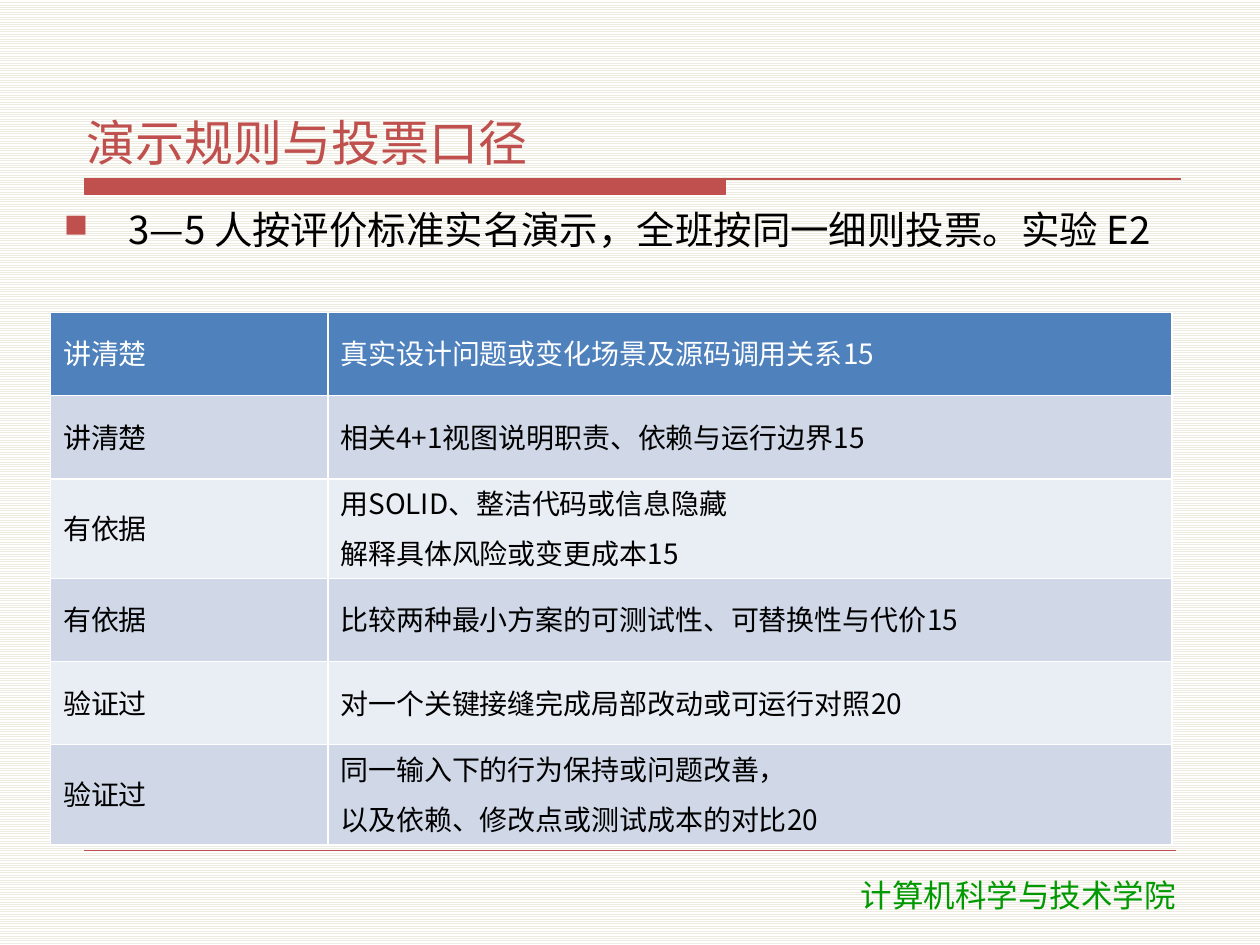
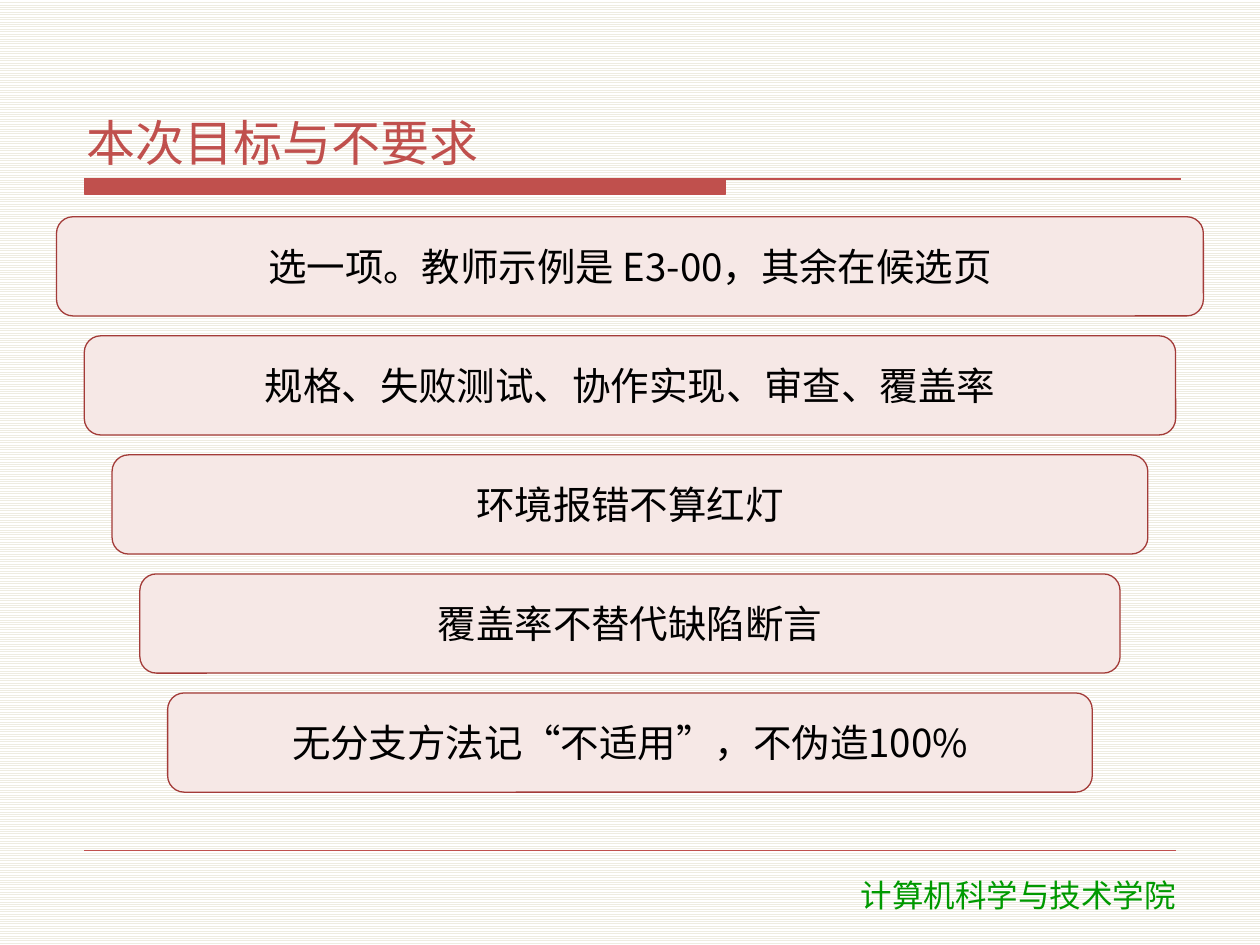
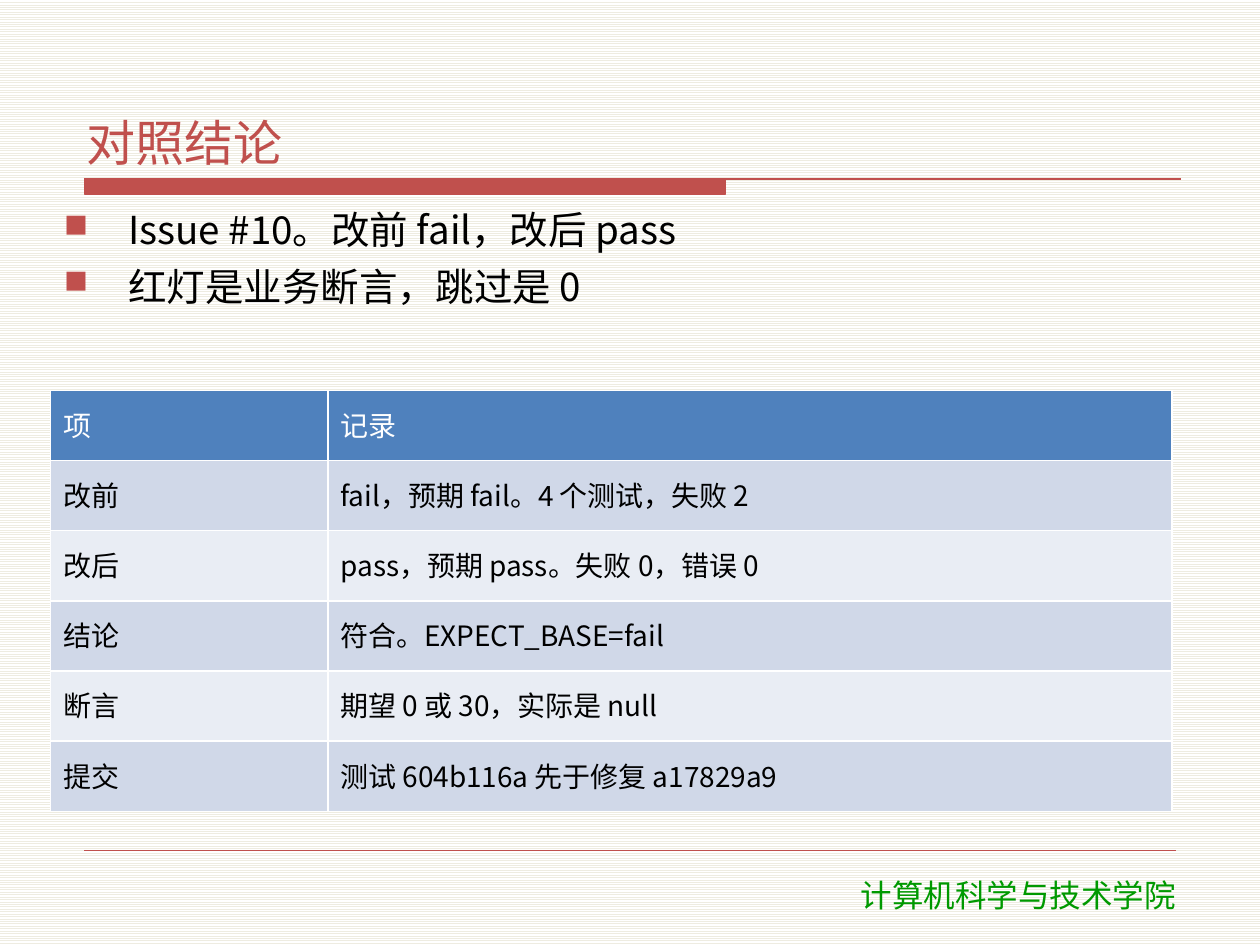
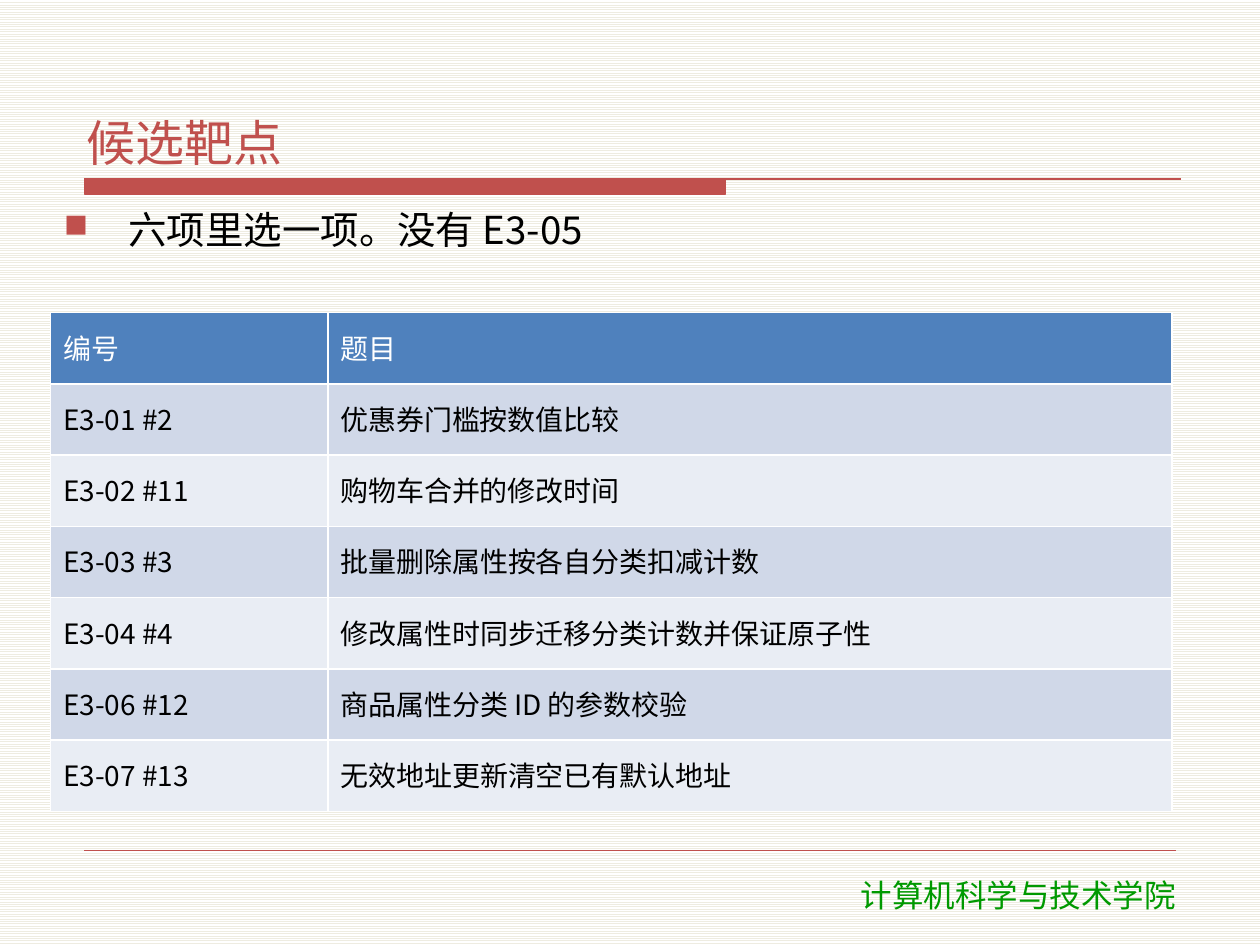
"""Build four course slides on demo rules, goals, findings and targets."""
from dataclasses import dataclass

from lxml.etree import SubElement
from pptx import Presentation
from pptx.dml.color import RGBColor
from pptx.dml.fill import FillFormat
from pptx.enum.dml import MSO_PATTERN
from pptx.enum.shapes import MSO_CONNECTOR, MSO_SHAPE
from pptx.enum.text import MSO_ANCHOR, PP_ALIGN
from pptx.oxml.ns import qn
from pptx.slide import Slide
from pptx.text.text import TextFrame
from pptx.util import Cm, Pt

RED, GREEN, BLACK, WHITE = "C0504D", "009900", "000000", "FFFFFF"
BLUE, DARK, LIGHT = "4F81BD", "D0D8E8", "E9EDF4"
PINK, EDGE, CREAM = "F6E8E6", "A33B38", "EEECE1"
FONT = "Noto Sans CJK SC"
WIDTH, HEIGHT = 25.4, 19.05
EDGES = ("lnL", "lnR", "lnT", "lnB")
TALL = 2.01


@dataclass(frozen=True)
class Look:
    """Hold the type style of a text."""
    size: float
    color: str = BLACK
    font: str = FONT
    align: PP_ALIGN = PP_ALIGN.LEFT
    before: float = 0
    after: float = 2
    line: float = 1.0


@dataclass(frozen=True)
class Box:
    """Hold a place in centimetres."""
    left: float
    top: float
    width: float
    height: float

    def place(self) -> tuple[Cm, Cm, Cm, Cm]:
        """Return the place as lengths."""
        return Cm(self.left), Cm(self.top), Cm(self.width), Cm(self.height)


@dataclass(frozen=True)
class Page:
    """Hold one slide's title, points and table or bars."""
    title: str
    points: tuple[str, ...] = ()
    rows: tuple[tuple[str, str], ...] = ()
    bars: tuple[str, ...] = ()


TITLE = Look(28, RED)
POINT = Look(22, before=4)
BAR = Look(22, align=PP_ALIGN.CENTER)
HEAD = Look(16, WHITE, before=6, line=0.9)
CELL = Look(16, before=6, line=0.9)
FOOT = Look(18, GREEN, "DejaVu Sans", PP_ALIGN.CENTER, after=0)

PAGES = (
    Page(
        "演示规则与投票口径",
        points=("3—5 人按评价标准实名演示，全班按同一细则投票。实验 E2",),
        rows=(
            ("讲清楚", "真实设计问题或变化场景及源码调用关系15"),
            ("讲清楚", "相关4+1视图说明职责、依赖与运行边界15"),
            ("有依据", "用SOLID、整洁代码或信息隐藏\n解释具体风险或变更成本15"),
            ("有依据", "比较两种最小方案的可测试性、可替换性与代价15"),
            ("验证过", "对一个关键接缝完成局部改动或可运行对照20"),
            ("验证过", "同一输入下的行为保持或问题改善，\n以及依赖、修改点或测试成本的对比20"),
        ),
    ),
    Page(
        "本次目标与不要求",
        bars=(
            "选一项。教师示例是 E3-00，其余在候选页",
            "规格、失败测试、协作实现、审查、覆盖率",
            "环境报错不算红灯",
            "覆盖率不替代缺陷断言",
            "无分支方法记“不适用”，不伪造100%",
        ),
    ),
    Page(
        "对照结论",
        points=("Issue #10。改前 fail，改后 pass", "红灯是业务断言，跳过是 0"),
        rows=(
            ("项", "记录"),
            ("改前", "fail，预期 fail。4 个测试，失败 2"),
            ("改后", "pass，预期 pass。失败 0，错误 0"),
            ("结论", "符合。EXPECT_BASE=fail"),
            ("断言", "期望 0 或 30，实际是 null"),
            ("提交", "测试 604b116a 先于修复 a17829a9"),
        ),
    ),
    Page(
        "候选靶点",
        points=("六项里选一项。没有 E3-05",),
        rows=(
            ("编号", "题目"),
            ("E3-01 #2", "优惠券门槛按数值比较"),
            ("E3-02 #11", "购物车合并的修改时间"),
            ("E3-03 #3", "批量删除属性按各自分类扣减计数"),
            ("E3-04 #4", "修改属性时同步迁移分类计数并保证原子性"),
            ("E3-06 #12", "商品属性分类 ID 的参数校验"),
            ("E3-07 #13", "无效地址更新清空已有默认地址"),
        ),
    ),
)


def tint(code: str) -> RGBColor:
    """Turn a hex string into a colour."""
    return RGBColor.from_string(code)


def paint(fill: FillFormat, code: str) -> None:
    """Fill with one solid colour."""
    fill.solid()
    fill.fore_color.rgb = tint(code)


def write(frame: TextFrame, text: str, look: Look) -> None:
    """Set the text and give each run its look."""
    frame.text = text
    frame.word_wrap = True
    for rank, para in enumerate(frame.paragraphs):
        para.alignment = look.align
        para.line_spacing = look.line
        para.space_before = Pt(look.before if rank else 0)
        para.space_after = Pt(look.after)
        for run in para.runs:
            run.font.size = Pt(look.size)
            run.font.bold = False
            run.font.name = look.font
            run.font.color.rgb = tint(look.color)
            SubElement(run.font._element, qn("a:ea"), typeface=look.font)


def inset(frame: TextFrame) -> None:
    """Set the narrow margins."""
    frame.margin_left = frame.margin_right = Cm(0.15)
    frame.margin_top = frame.margin_bottom = Cm(0.05)


def label(slide: Slide, box: Box, text: str, look: Look) -> TextFrame:
    """Add a text box and return its frame."""
    frame = slide.shapes.add_textbox(*box.place()).text_frame
    write(frame, text, look)
    return frame


def dress(slide: Slide, title: str) -> None:
    """Draw the title, band and footer all slides share."""
    left, top, mid, low, right = map(Cm, (1.7, 3.61, 14.63, 3.91, 23.8))
    form = slide.shapes.build_freeform(left, top)
    form.add_line_segments([(mid, top), (mid, low), (left, low)], close=True)
    form.move_to(left, top)
    form.add_line_segments([(right, top)], close=False)
    band = form.convert_to_shape()
    band.shadow.inherit = False
    paint(band.fill, RED)
    paint(band.line.fill, RED)
    band.line.width = Pt(0.75)

    rule = slide.shapes.add_connector(
        MSO_CONNECTOR.STRAIGHT, Cm(1.7), Cm(17.15), Cm(23.7), Cm(17.15))
    paint(rule.line.fill, RED)
    rule.line.width = Pt(0.25)
    SubElement(rule._element.spPr, qn("a:effectLst"))

    label(slide, Box(15.42, 17.53, 10.21, 1.02), "计算机科学与技术学院", FOOT)
    frame = label(slide, Box(1.6, 0.84, 22.22, 2.67), title, TITLE)
    frame.vertical_anchor = MSO_ANCHOR.BOTTOM
    inset(frame)


def list_points(slide: Slide, points: tuple[str, ...]) -> None:
    """Add the points with square red bullets."""
    tall = 1.98 + 1.58 * (len(points) - 1)
    frame = label(slide, Box(1.14, 4.11, 23.11, tall), "\n".join(points), POINT)
    inset(frame)
    for para in frame.paragraphs:
        props = para._p.get_or_add_pPr()
        props.set("marL", str(Cm(1.3)))
        props.set("indent", str(-Cm(1.3)))
        SubElement(SubElement(props, qn("a:buClr")), qn("a:srgbClr"), val=RED)
        SubElement(props, qn("a:buSzPct"), val="85000")
        SubElement(props, qn("a:buChar"), char="■")


def add_grid(slide: Slide, rows: tuple[tuple[str, str], ...], top: float) -> None:
    """Add the table, with taller rows for cells of two lines."""
    box = Box(1.02, top, 22.61, 16.36 - top)
    grid = slide.shapes.add_table(len(rows), 2, *box.place()).table
    grid.columns[0].width, grid.columns[1].width = Cm(5.59), Cm(17.02)
    for down, row in enumerate(rows):
        tall = any("\n" in text for text in row)
        grid.rows[down].height = Cm(TALL if tall else box.height / len(rows))
        shade = (DARK if down % 2 else LIGHT) if down else BLUE
        for across, text in enumerate(row):
            cell = grid.cell(down, across)
            write(cell.text_frame, text, CELL if down else HEAD)
            cell.vertical_anchor = MSO_ANCHOR.MIDDLE
            if "\n" in text:
                cell.margin_bottom = Cm(0.36)
            props = cell._tc.get_or_add_tcPr()
            for edge in EDGES:
                line = SubElement(props, qn(f"a:{edge}"), w=str(Pt(1)))
                fill = SubElement(line, qn("a:solidFill"))
                SubElement(fill, qn("a:srgbClr"), val=WHITE)
            paint(cell.fill, shade)


def stack(slide: Slide, bars: tuple[str, ...]) -> None:
    """Stack centred bars, each narrower than the last."""
    for rank, text in enumerate(bars):
        left = 1.14 + 0.56 * rank
        box = Box(left, 4.37 + 2.4 * rank, WIDTH - 2 * left, 2)
        bar = slide.shapes.add_shape(MSO_SHAPE.ROUNDED_RECTANGLE, *box.place())
        bar.shadow.inherit = False
        paint(bar.fill, PINK)
        paint(bar.line.fill, EDGE)
        bar.line.width = Pt(0.75)
        write(bar.text_frame, text, BAR)
        bar.text_frame.vertical_anchor = MSO_ANCHOR.MIDDLE
        inset(bar.text_frame)


def main() -> None:
    """Build and save the deck."""
    deck = Presentation()
    deck.slide_width, deck.slide_height = Cm(WIDTH), Cm(HEIGHT)
    for page in PAGES:
        slide = deck.slides.add_slide(deck.slide_layouts[6])
        back = slide.background.fill
        back.patterned()
        back.pattern = MSO_PATTERN.LIGHT_HORIZONTAL
        back.fore_color.rgb, back.back_color.rgb = tint(CREAM), tint(WHITE)
        dress(slide, page.title)
        if page.points:
            list_points(slide, page.points)
        if page.rows:
            add_grid(slide, page.rows, 6.3 if len(page.points) == 1 else 7.87)
        stack(slide, page.bars)
    deck.save("out.pptx")


if __name__ == "__main__":
    main()
